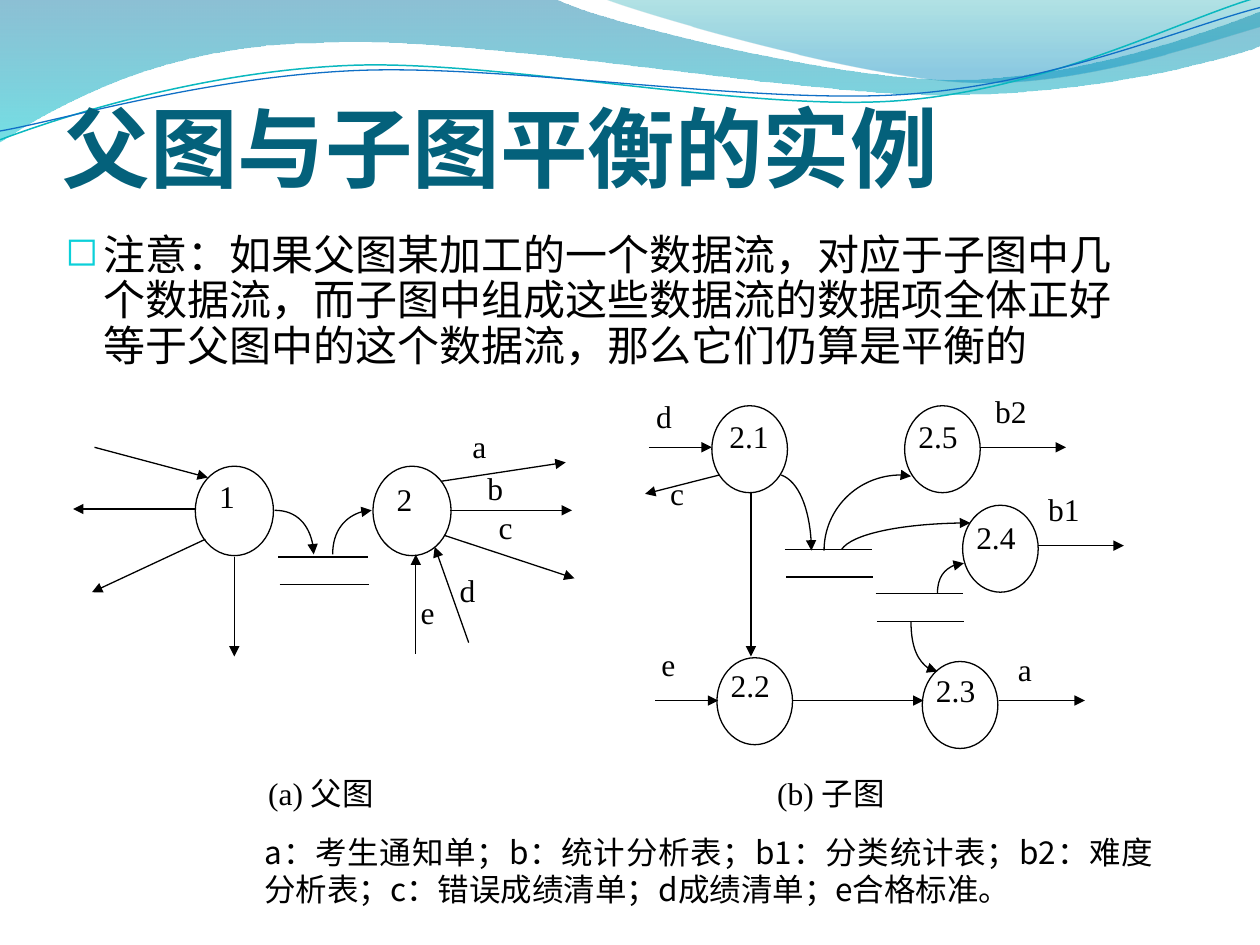
from typing import NamedTuple

from lxml import etree
from pptx import Presentation
from pptx.dml.color import RGBColor
from pptx.enum.shapes import MSO_CONNECTOR, MSO_SHAPE
from pptx.enum.text import MSO_ANCHOR, PP_ALIGN
from pptx.oxml.ns import qn
from pptx.util import Inches, Pt

STRAIGHT = MSO_CONNECTOR.STRAIGHT
OVAL = MSO_SHAPE.OVAL
JUSTIFY = PP_ALIGN.JUSTIFY
LEFT = PP_ALIGN.LEFT
TOP = MSO_ANCHOR.TOP
BOTTOM = MSO_ANCHOR.BOTTOM

BLACK = RGBColor(0x00, 0x00, 0x00)
TITLE_BLUE = RGBColor(0x04, 0x61, 0x7B)
WAVE_TEAL = RGBColor(0x0A, 0xB8, 0xBF)
WAVE_BLUE = RGBColor(0x0F, 0x6F, 0xC6)
DEEP_BLUE = RGBColor(0x00, 0x74, 0xA1)
AQUA = RGBColor(0x00, 0xC6, 0xCF)
SEA_GREEN = RGBColor(0x00, 0xA1, 0xA9)
SKY_BLUE = RGBColor(0x00, 0x8B, 0xBF)

CJK_FONT = "Noto Sans CJK SC"
TITLE_FORMAT = {"name": CJK_FONT, "size": Pt(50), "bold": True}
BODY_FORMAT = {"name": "Vollkorn", "size": Pt(24)}
LABEL_FORMAT = {"name": "Times New Roman", "size": Pt(18)}
LEGEND_FORMAT = {"name": CJK_FONT, "size": Pt(18)}
TITLE_MARGINS = {"margin_left": 0, "margin_top": Inches(0.05), "margin_right": 0, "margin_bottom": 0}


class Stop(NamedTuple):
    """A gradient stop."""
    position: float
    color: RGBColor
    opacity: int


class Outline(NamedTuple):
    """A start point and steps of one point (line) or three points (Bezier curve)."""
    start: tuple
    steps: list


class Process(NamedTuple):
    """A numbered circle and the place of its number."""
    name: str
    left: float
    top: float
    size: tuple
    label: tuple


class Label(NamedTuple):
    """A data flow name."""
    text: str
    left: float
    top: float


class Flow(NamedTuple):
    """A straight arrow."""
    begin: tuple
    end: tuple


class Store(NamedTuple):
    """A data store drawn as two parallel lines."""
    left: float
    top: float
    width: float


PARENT_CIRCLE = (0.62, 0.71)
CHILD_CIRCLE = (0.6, 0.69)

WAVES = [
    (Outline((0, -0.01), [
        [(4.4, -0.01)],
        [(4.76, 0.17), (6.64, 0.63), (7.58, 0.63)],
        [(8.53, 0.63), (9.58, 0.26), (10, 0.09)],
        [(10.01, 0.36)],
        [(9.83, 0.44), (8.7, 0.76), (7.46, 0.75)],
        [(6.22, 0.75), (3.82, 0.28), (2.57, 0.34)],
        [(1.29, 0.35), (0.46, 0.83), (-0.01, 1.13)]]),
     [Stop(0, DEEP_BLUE, 45), Stop(1, AQUA, 55)]),
    (Outline((4.79, -0.01), [
        [(5.09, 0.11), (6.82, 0.62), (7.69, 0.65)],
        [(8.56, 0.69), (9.61, 0.32), (10, 0.21)],
        [(10, 0)]]),
     [Stop(0, SEA_GREEN, 30), Stop(0.8, SKY_BLUE, 45)]),
]
WAVE_LINES = [
    (Outline((0, 1.11), [
        [(0.48, 0.93), (1.58, 0.57), (2.77, 0.52)],
        [(3.95, 0.47), (5.93, 0.89), (7.13, 0.8)],
        [(8.33, 0.71), (9.38, 0.15), (9.98, -0.02)]]), WAVE_TEAL, 0.85),
    (Outline((0, 1.04), [
        [(0.47, 0.96), (1.64, 0.61), (2.83, 0.56)],
        [(4.03, 0.51), (5.97, 0.83), (7.17, 0.75)],
        [(8.36, 0.67), (9.41, 0.21), (10, 0.06)]]), WAVE_BLUE, 0.75),
]
PROCESSES = [
    Process("1", 1.55, 3.7, PARENT_CIRCLE, (1.64, 3.74)),
    Process("2", 2.96, 3.7, PARENT_CIRCLE, (3.05, 3.76)),
    Process("2.1", 5.65, 3.22, CHILD_CIRCLE, (5.69, 3.26)),
    Process("2.2", 5.69, 5.22, CHILD_CIRCLE, (5.7, 5.24)),
    Process("2.3", 7.32, 5.25, CHILD_CIRCLE, (7.33, 5.28)),
    Process("2.4", 7.64, 4.01, CHILD_CIRCLE, (7.65, 4.06)),
    Process("2.5", 7.18, 3.22, CHILD_CIRCLE, (7.19, 3.26)),
]
STORES = [Store(2.21, 4.42, 0.71), Store(6.23, 4.36, 0.69), Store(6.95, 4.71, 0.69)]
FLOWS = [
    Flow((0.75, 3.55), (1.65, 3.79)), Flow((1.55, 4.04), (0.58, 4.04)),
    Flow((1.63, 4.28), (0.73, 4.7)), Flow((1.86, 4.42), (1.86, 5.21)),
    Flow((3.5, 3.82), (4.49, 3.67)), Flow((3.57, 4.05), (4.54, 4.05)),
    Flow((3.53, 4.25), (4.56, 4.59)), Flow((3.72, 5.1), (3.45, 4.34)),
    Flow((3.3, 5.19), (3.3, 4.4)), Flow((5.15, 3.55), (5.65, 3.55)),
    Flow((5.71, 3.77), (5.12, 3.92)), Flow((5.96, 3.91), (5.96, 5.21)),
    Flow((7.78, 3.55), (8.46, 3.55)), Flow((8.24, 4.33), (8.92, 4.33)),
    Flow((5.2, 5.56), (5.7, 5.56)), Flow((6.29, 5.56), (7.33, 5.56)),
    Flow((7.93, 5.56), (8.61, 5.56)),
]
CURVED_FLOWS = [
    Outline((2.18, 4.05), [[(2.36, 4.05), (2.49, 4.21), (2.49, 4.4)]]),
    Outline((2.64, 4.4), [[(2.64, 4.21), (2.78, 4.05), (2.95, 4.05)]]),
    Outline((6.2, 3.77), [[(6.34, 3.82), (6.44, 4.08), (6.44, 4.37)]]),
    Outline((6.54, 4.37), [[(6.54, 4.04), (6.81, 3.77), (7.15, 3.77)],
                           [(7.17, 3.77), (7.2, 3.77), (7.23, 3.78)]]),
    Outline((6.68, 4.36), [[(6.76, 4.24), (7.18, 4.15), (7.7, 4.15)]]),
    Outline((7.44, 4.71), [[(7.44, 4.58), (7.53, 4.47), (7.65, 4.47)]]),
    Outline((7.23, 4.93), [[(7.23, 5.15), (7.33, 5.33), (7.44, 5.33)]]),
]
FLOW_LABELS = [
    Label("a", 3.65, 3.34), Label("b", 3.77, 3.67), Label("c", 3.86, 3.98),
    Label("d", 3.55, 4.48), Label("e", 3.24, 4.66), Label("d", 5.11, 3.1),
    Label("c", 5.22, 3.71), Label("e", 5.15, 5.07), Label("b2", 7.8, 3.06),
    Label("b1", 8.22, 3.84), Label("a", 7.98, 5.11),
]
CAPTIONS = [Label("(a) 父图", 2.03, 6.09), Label("(b) 子图", 6.07, 6.09)]


def style_line(shape, color: RGBColor = BLACK, width: float = 0.75, arrow: bool = False) -> None:
    """Set the line colour and width, with an optional arrowhead at its end."""
    shape.line.color.rgb = color
    shape.line.width = Pt(width)
    if arrow:
        etree.SubElement(shape.line._get_or_add_ln(), qn("a:tailEnd"), type="triangle")


def draw_outline(slide, outline: Outline, closed: bool = False):
    """Draw an outline, turning each three-point step into a Bezier curve."""
    points = [(Inches(x), Inches(y)) for step in outline.steps for x, y in step]
    builder = slide.shapes.build_freeform(Inches(outline.start[0]), Inches(outline.start[1]))
    builder.add_line_segments(points, close=closed)
    shape = builder.convert_to_shape()
    shape.shadow.inherit = False
    segments = iter(list(shape._element.iter(qn("a:lnTo"))))
    for step in outline.steps:
        parts = [next(segments) for _ in step]
        if len(parts) == 3:
            parts[0].tag = qn("a:cubicBezTo")
            for part in parts[1:]:
                parts[0].append(part[0])
                part.getparent().remove(part)
    return shape


def draw_wave(slide, outline: Outline, stops: list[Stop]) -> None:
    """Draw a translucent wave shaded from top to bottom."""
    shape = draw_outline(slide, outline, closed=True)
    shape.line.fill.background()
    shape.fill.gradient()
    shape.fill.gradient_angle = 270
    for gradient_stop, stop in zip(shape.fill.gradient_stops, stops):
        gradient_stop.position = stop.position
        gradient_stop.color.rgb = stop.color
    for color, stop in zip(shape._element.spPr.iter(qn("a:srgbClr")), stops):
        etree.SubElement(color, qn("a:alpha"), val=str(stop.opacity * 1000))


def draw_curve(slide, outline: Outline, color: RGBColor = BLACK, width: float = 0.75, arrow: bool = False) -> None:
    """Draw an unfilled curve."""
    shape = draw_outline(slide, outline)
    shape.fill.background()
    style_line(shape, color, width, arrow)


def draw_line(slide, begin: tuple, end: tuple, arrow: bool = False) -> None:
    """Draw a straight line."""
    connector = slide.shapes.add_connector(STRAIGHT, *map(Inches, begin + end))
    style_line(connector, arrow=arrow)
    etree.SubElement(connector._element.spPr, qn("a:effectLst"))


def draw_text(slide, text: str, box: tuple, formats: dict, color: RGBColor = BLACK,
              alignment=JUSTIFY, anchor=TOP, margins: dict | None = None):
    """Draw a wrapped text box and return its paragraph."""
    frame = slide.shapes.add_textbox(*map(Inches, box)).text_frame
    for name, value in {"word_wrap": True, "vertical_anchor": anchor, **(margins or {})}.items():
        setattr(frame, name, value)
    paragraph = frame.paragraphs[0]
    paragraph.alignment = alignment
    run = paragraph.add_run()
    run.text = text
    for name, value in formats.items():
        setattr(run.font, name, value)
    run.font.color.rgb = color
    etree.SubElement(run._r.get_or_add_rPr(), qn("a:ea"), typeface=CJK_FONT)
    return paragraph


def add_bullet(paragraph) -> None:
    """Give a paragraph a hanging square bullet."""
    paragraph.line_spacing = 0.9
    properties = paragraph._p.get_or_add_pPr()
    properties.set("marL", str(Inches(0.3)))
    properties.set("indent", str(Inches(-0.3)))
    color = etree.SubElement(properties, qn("a:buClr"))
    etree.SubElement(color, qn("a:srgbClr"), val="0BD0D9")
    etree.SubElement(properties, qn("a:buSzPct"), val="95000")
    etree.SubElement(properties, qn("a:buChar"), char="◻")


def draw_process(slide, process: Process) -> None:
    """Draw a circle and its number."""
    circle = slide.shapes.add_shape(OVAL, *map(Inches, (process.left, process.top, *process.size)))
    circle.shadow.inherit = False
    circle.fill.background()
    style_line(circle)
    draw_text(slide, process.name, (*process.label, 0.63, 0.6), LABEL_FORMAT)


def draw_store(slide, store: Store) -> None:
    """Draw the two lines of a data store."""
    for shift, drop in ((0, 0), (0.01, 0.22)):
        left, top = store.left + shift, store.top + drop
        draw_line(slide, (left, top), (left + store.width, top))


def main() -> None:
    """Build the slide on balancing parent and child diagrams."""
    presentation = Presentation()
    presentation.slide_width, presentation.slide_height = Inches(10), Inches(7.5)
    slide = presentation.slides.add_slide(presentation.slide_layouts[6])
    for outline, stops in WAVES:
        draw_wave(slide, outline, stops)
    for outline, color, width in WAVE_LINES:
        draw_curve(slide, outline, color, width)
    draw_text(slide, "父图与子图平衡的实例", (0.5, 0.33, 9, 1.25), TITLE_FORMAT,
              TITLE_BLUE, LEFT, BOTTOM, TITLE_MARGINS)
    add_bullet(draw_text(
        slide, "注意：如果父图某加工的一个数据流，对应于子图中几个数据流，而子图中组成这些数据流的"
        "数据项全体正好等于父图中的这个数据流，那么它们仍算是平衡的",
        (0.42, 1.81, 8.67, 1.58), BODY_FORMAT, alignment=LEFT))
    for process in PROCESSES:
        draw_process(slide, process)
    for store in STORES:
        draw_store(slide, store)
    for flow in FLOWS:
        draw_line(slide, flow.begin, flow.end, arrow=True)
    for outline in CURVED_FLOWS:
        draw_curve(slide, outline, arrow=True)
    for labels, size in ((FLOW_LABELS, (0.63, 0.6)), (CAPTIONS, (1.67, 0.64))):
        for label in labels:
            draw_text(slide, label.text, (label.left, label.top, *size), LABEL_FORMAT)
    draw_text(slide, "a：考生通知单；b：统计分析表；b1：分类统计表；b2：难度分析表；"
              "c：错误成绩清单；d成绩清单；e合格标准。", (2, 6.56, 7.25, 0.77), LEGEND_FORMAT)
    presentation.save("out.pptx")


if __name__ == "__main__":
    main()
